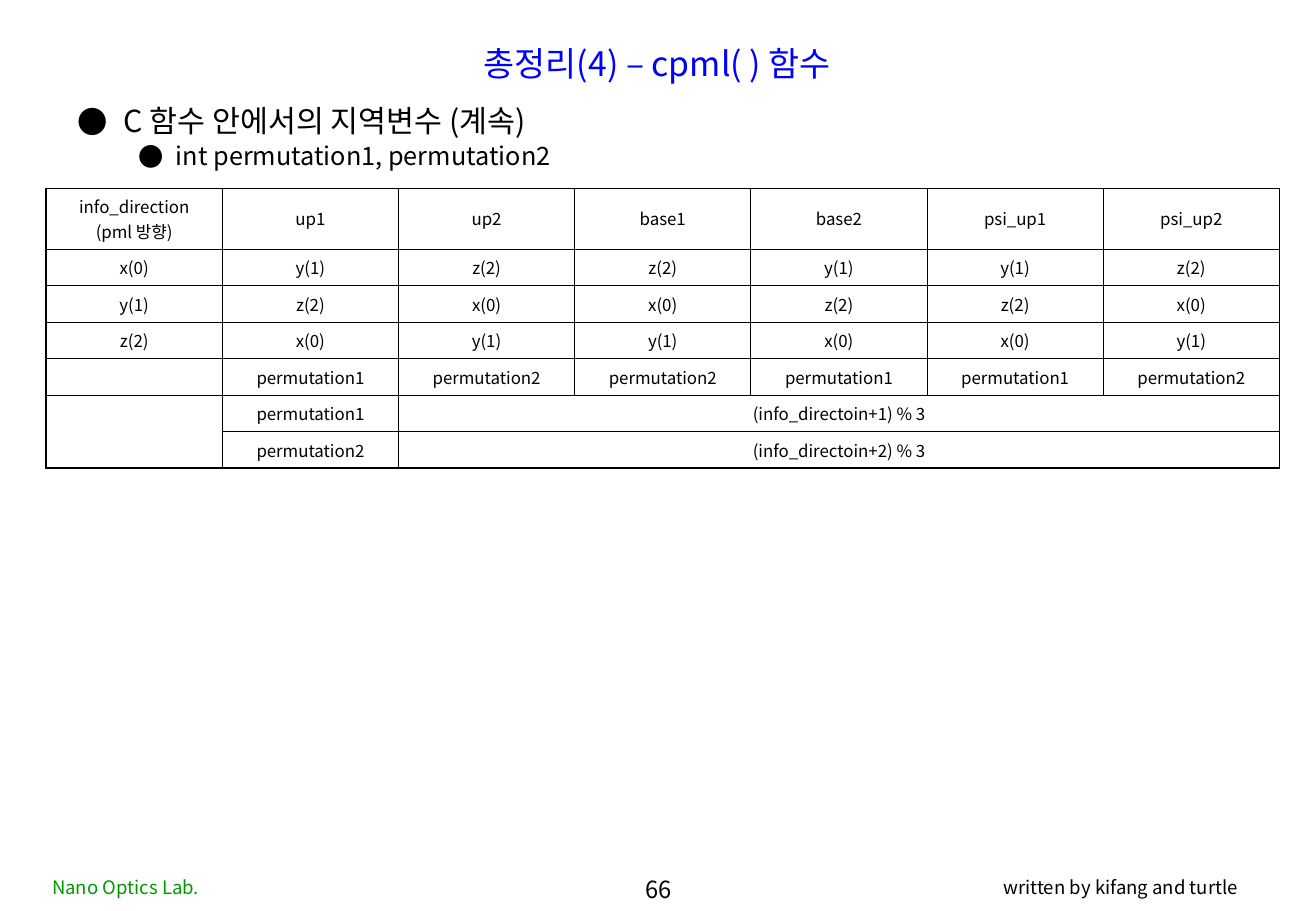
from lxml.etree import SubElement
from pptx import Presentation
from pptx.dml.color import RGBColor
from pptx.enum.text import MSO_ANCHOR as ANCHOR, MSO_AUTO_SIZE as AUTO, PP_ALIGN as ALIGN
from pptx.oxml.ns import qn
from pptx.util import Inches, Pt

FONT = "Noto Sans CJK KR"
BLACK, BLUE, GREEN = "000000", "0000FF", "009900"
THIN, THICK = 0.45, 0.96
ROWS = [
    ["info_direction\n(pml 방향)", "up1", "up2", "base1", "base2", "psi_up1", "psi_up2"],
    ["x(0)", "y(1)", "z(2)", "z(2)", "y(1)", "y(1)", "z(2)"],
    ["y(1)", "z(2)", "x(0)", "x(0)", "z(2)", "z(2)", "x(0)"],
    ["z(2)", "x(0)", "y(1)", "y(1)", "x(0)", "x(0)", "y(1)"],
    ["", "permutation1", "permutation2", "permutation2",
     "permutation1", "permutation1", "permutation2"],
    ["", "permutation1", "(info_directoin+1) % 3"],
    ["", "permutation2", "(info_directoin+2) % 3"],
]


def rgb(color):
    return RGBColor.from_string(color)


def format_paragraph(p, size, color, align):
    p.alignment = align
    for r in p.runs:
        r.font.size = Pt(size)
        r.font.name = FONT
        r.font.color.rgb = rgb(color)
        SubElement(r.font._element, qn("a:ea"), typeface=FONT)


def fill_frame(tf, text, size, color, align, anchor=ANCHOR.MIDDLE):
    tf.word_wrap = True
    tf.auto_size = AUTO.NONE
    tf.vertical_anchor = anchor
    tf.text = text
    for p in tf.paragraphs:
        format_paragraph(p, size, color, align)


def add_title(s, text):
    sp = s.shapes.title
    sp.left, sp.top, sp.width, sp.height = map(Inches, (0.54, 0.28, 9.75, 0.47))
    fill_frame(sp.text_frame, text, 20, BLUE, ALIGN.CENTER)


def add_text(s, box, text, size, color, align):
    sp = s.shapes.add_textbox(*map(Inches, box))
    fill_frame(sp.text_frame, text, size, color, align)


def add_bullets(s, box, items):
    tf = s.shapes.add_textbox(*map(Inches, box)).text_frame
    text = "\n".join(item[0] for item in items)
    fill_frame(tf, text, 18, BLACK, ALIGN.LEFT, ANCHOR.TOP)
    for level, (p, (_, size, margin, hanging, before)) in enumerate(zip(tf.paragraphs, items)):
        pPr = p._p.get_or_add_pPr()
        pPr.set("marL", str(Inches(margin)))
        pPr.set("indent", str(-Inches(hanging)))
        SubElement(SubElement(pPr, qn("a:buClr")), qn("a:srgbClr"), val=BLACK)
        SubElement(pPr, qn("a:buFont"), typeface=FONT)
        SubElement(pPr, qn("a:buChar"), char="●")
        p.level = level
        p.line_spacing = 0.85
        p.space_before = Pt(before)
        for r in p.runs:
            r.font.size = Pt(size)


def add_border(tcPr, side, width):
    ln = SubElement(tcPr, qn(f"a:{side}"), w=str(Pt(width)))
    if width:
        fill = SubElement(ln, qn("a:solidFill"))
        SubElement(fill, qn("a:srgbClr"), val=BLACK)
    else:
        SubElement(ln, qn("a:noFill"))


def format_cell(cell, text, borders):
    cell.text = text
    cell.vertical_anchor = ANCHOR.MIDDLE
    cell.margin_left = cell.margin_right = Inches(0.1)
    cell.margin_top = cell.margin_bottom = Inches(0.05)
    for p in cell.text_frame.paragraphs:
        format_paragraph(p, 10, BLACK, ALIGN.CENTER)
        if not text:
            SubElement(p._p, qn("a:endParaRPr"), sz="1000")
    tcPr = cell._tc.get_or_add_tcPr()
    for side, width in zip(("lnL", "lnR", "lnT", "lnB"), borders):
        add_border(tcPr, side, width)
    cell.fill.background()


def add_permutation_table(s):
    n_rows, n_cols = len(ROWS), len(ROWS[0])
    box = map(Inches, (0.38, 1.55, 10.16, 2.06))
    table = s.shapes.add_table(n_rows, n_cols, *box).table
    table.first_row = table.horz_banding = False
    for i, row in enumerate(table.rows):
        row.height = Inches(0.27 if i else 0.44)
    col_edges = [THICK if c in (0, 3, n_cols) else THIN for c in range(n_cols + 1)]
    row_edges = [THICK if r in (0, n_rows) else THIN for r in range(n_rows + 1)]
    for i, texts in enumerate(ROWS):
        if len(texts) < n_cols:
            table.cell(i, len(texts) - 1).merge(table.cell(i, n_cols - 1))
        for j, text in enumerate(texts):
            right = n_cols if j == len(texts) - 1 else j + 1
            top, bottom = row_edges[i:i + 2]
            if j == 0 and i == n_rows - 2:
                bottom = 0
            if j == 0 and i == n_rows - 1:
                top = 0
            borders = (col_edges[j], col_edges[right], top, bottom)
            format_cell(table.cell(i, j), text, borders)


def main():
    """Build the slide on the cpml( ) function's local variables."""
    prs = Presentation()
    prs.slide_width, prs.slide_height = Inches(10.84), Inches(7.5)
    s = prs.slides.add_slide(prs.slide_layouts[5])
    add_text(s, (0.33, 7.14, 2.41, 0.32), "Nano Optics Lab.", 11, GREEN, ALIGN.LEFT)
    add_title(s, "총정리(4) – cpml( ) 함수")
    add_bullets(s, (0.54, 0.84, 9.75, 6.3), [
        ("C 함수 안에서의 지역변수 (계속)", 18, 0.38, 0.38, 0),
        ("int permutation1, permutation2", 15, 0.81, 0.31, 3.7),
    ])
    add_permutation_table(s)
    add_text(s, (7.39, 7.14, 2.91, 0.32), "written by kifang and turtle", 11, BLACK, ALIGN.RIGHT)
    add_text(s, (4.16, 7.19, 2.53, 0.26), "66", 14, BLACK, ALIGN.CENTER)
    prs.save("out.pptx")


if __name__ == "__main__":
    main()
